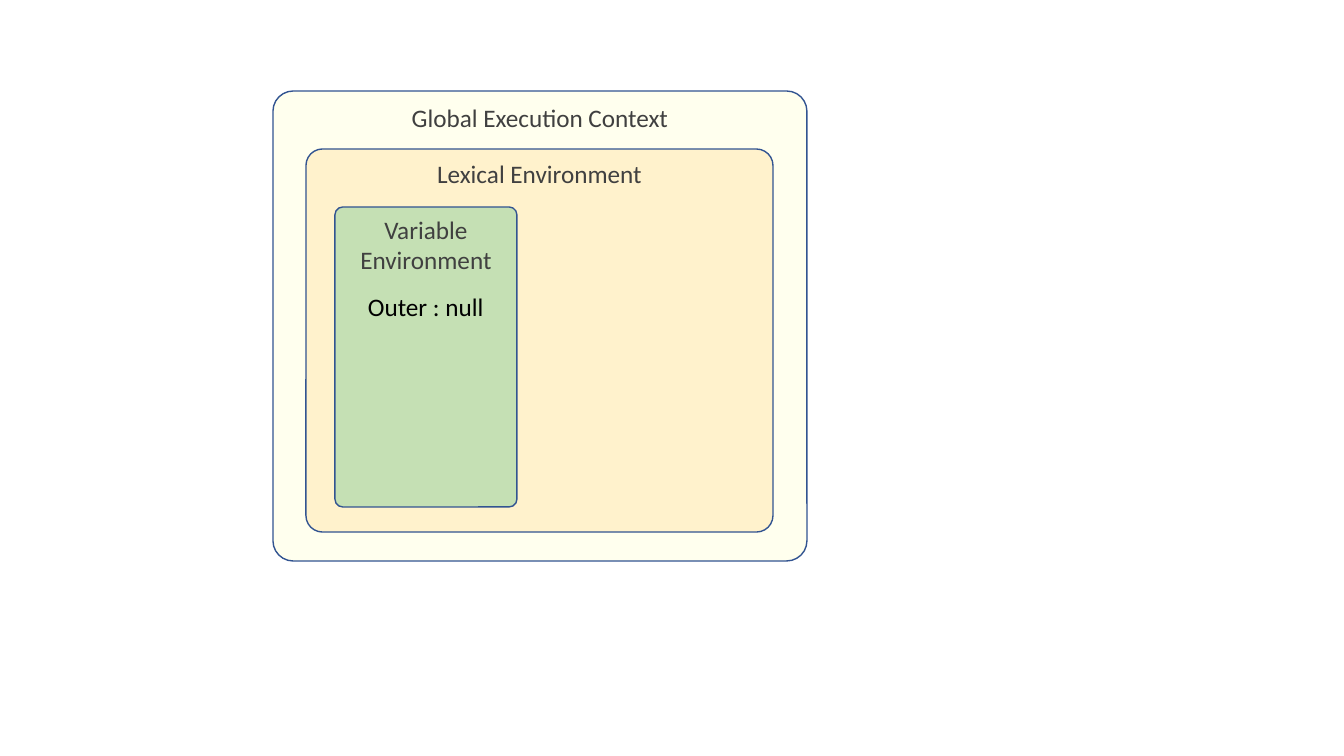
"""Build a slide of nested boxes for the global execution context."""
from dataclasses import dataclass

from pptx import Presentation
from pptx.dml.color import RGBColor
from pptx.enum.shapes import MSO_SHAPE
from pptx.enum.text import MSO_ANCHOR, MSO_AUTO_SIZE, PP_ALIGN
from pptx.util import Pt

SCALE = 914400 / 100.8


@dataclass(frozen=True)
class Theme:
    font: str = "Calibri"
    size: int = 18
    line: str = "325491"
    label: str = "404040"
    note: str = "000000"
    context: str = "FFFFEE"
    lexical: str = "FFF2CC"
    variable: str = "C5E0B4"
    width: int = 1
    corner: float = 0.043


THEME = Theme()


def px(*spans):
    return [round(span * SCALE) for span in spans]


def color(code):
    return RGBColor.from_string(code)


def write(frame, text, ink, align):
    frame.text = text
    frame.vertical_anchor = MSO_ANCHOR.TOP
    for para in frame.paragraphs:
        para.alignment = align
        for run in para.runs:
            run.font.name = THEME.font
            run.font.size = Pt(THEME.size)
            run.font.color.rgb = color(ink)


def add_box(slide, text, area, fill):
    box = slide.shapes.add_shape(MSO_SHAPE.ROUNDED_RECTANGLE, *px(*area))
    box.adjustments[0] = THEME.corner
    box.shadow.inherit = False
    box.fill.solid()
    box.fill.fore_color.rgb = color(fill)
    box.line.color.rgb = color(THEME.line)
    box.line.width = Pt(THEME.width)
    box.text_frame.word_wrap = True
    write(box.text_frame, text, THEME.label, PP_ALIGN.CENTER)


def add_note(slide, text, area):
    note = slide.shapes.add_textbox(*px(*area))
    frame = note.text_frame
    frame.word_wrap = False
    frame.auto_size = MSO_AUTO_SIZE.SHAPE_TO_FIT_TEXT
    write(frame, text, THEME.note, PP_ALIGN.LEFT)


def main():
    deck = Presentation()
    deck.slide_width, deck.slide_height = px(1344, 756)
    slide = deck.slides.add_slide(deck.slide_layouts[6])
    boxes = [
        ("Global Execution Context", (273, 91, 534, 470), THEME.context),
        ("Lexical Environment", (306, 149, 467, 383), THEME.lexical),
        ("Variable Environment", (335, 207, 182, 300), THEME.variable),
    ]
    for text, area, fill in boxes:
        add_box(slide, text, area, fill)
    add_note(slide, "Outer : null", (358, 286, 137, 40))
    deck.save("out.pptx")


main()
